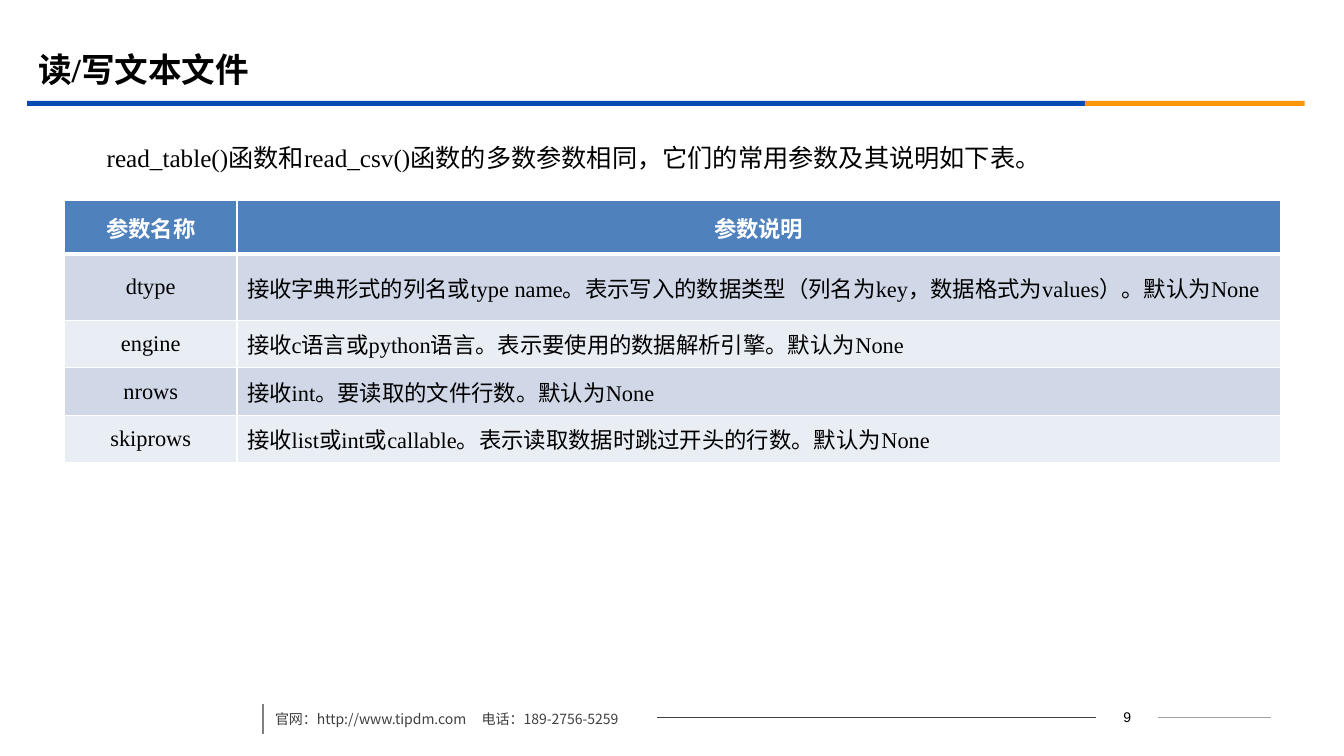
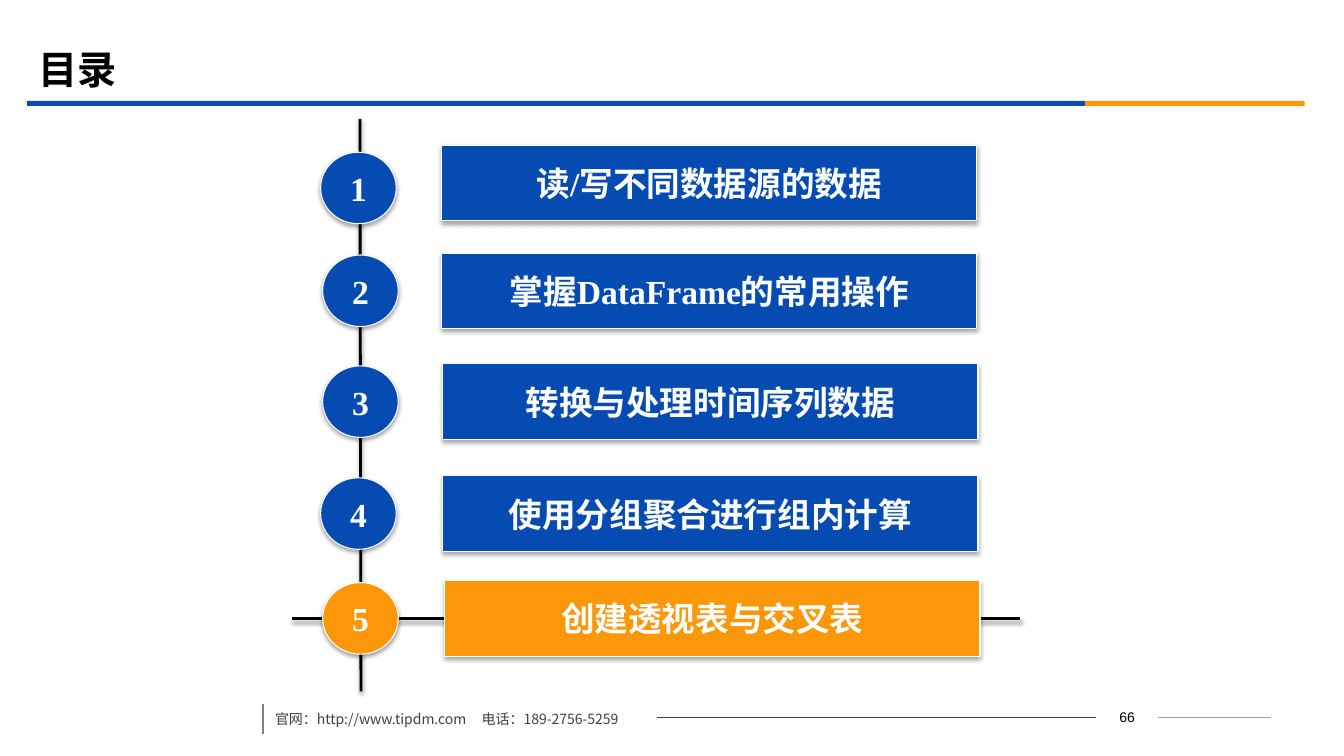
"""Build a parameter table slide and an agenda slide in one shared style."""
import pptx
import pptx.dml.color
import pptx.enum.shapes
import pptx.enum.text
import pptx.oxml
import pptx.oxml.ns
import pptx.util
import lxml.etree

PX = 9144
BLUE, ORANGE, BLACK, WHITE = "064BB2", "FB9708", "000000", "FFFFFF"
SERIF, SANS = "Times New Roman", "Noto Sans CJK SC"
color = pptx.dml.color.RGBColor.from_string
qn = pptx.oxml.ns.qn
Pt = pptx.util.Pt
SHAPE = pptx.enum.shapes.MSO_SHAPE
CENTER = pptx.enum.text.PP_ALIGN.CENTER
LEFT = pptx.enum.text.PP_ALIGN.LEFT
MIDDLE = pptx.enum.text.MSO_ANCHOR.MIDDLE


def write(frame, text, size, hue=BLACK, bold=False, align=LEFT, latin=SERIF):
    """Fill a text frame with one formatted paragraph and return it."""
    paragraph = frame.paragraphs[0]
    paragraph.text = text
    paragraph.alignment = align
    for run in paragraph.runs:
        run.font.size = Pt(size)
        run.font.bold = bold
        run.font.color.rgb = color(hue)
        run.font.name = latin
        lxml.etree.SubElement(run.font._element, qn("a:ea"), typeface=SANS)
    return paragraph


def draw_line(slide, ends, hue, width):
    """Draw a straight line without a shadow and return it."""
    line = slide.shapes.add_connector(
        pptx.enum.shapes.MSO_CONNECTOR.STRAIGHT, *[PX * end for end in ends])
    line.line.color.rgb = color(hue)
    line.line.width = Pt(width)
    lxml.etree.SubElement(line._element.spPr, qn("a:effectLst"))
    return line


deck = pptx.Presentation()
deck.slide_width, deck.slide_height = 1333 * PX, 750 * PX

slides = []
for heading, heading_size, number in [("读/写文本文件", 24, "9"), ("目录", 28, "66")]:
    slide = deck.slides.add_slide(deck.slide_layouts[6])
    slides.append(slide)

    for left, width, hue in [(27, 1049, BLUE), (1076, 218, ORANGE)]:
        band = slide.shapes.add_shape(
            SHAPE.RECTANGLE, left * PX, 100 * PX, width * PX, 5 * PX)
        band.shadow.inherit = False
        band.fill.solid()
        band.fill.fore_color.rgb = color(hue)
        band.line.fill.background()

    for ends, hue, width in [((1149, 712, 1261, 712), "A0A0A0", 0.75),
                             ((652, 712, 1087, 712), "404040", 0.75),
                             ((261, 698, 261, 728), "808080", 1.25)]:
        draw_line(slide, ends, hue, width)

    page = slide.shapes.add_textbox(1087 * PX, 699 * PX, 62 * PX, 25 * PX).text_frame
    page.word_wrap = True
    page.vertical_anchor = MIDDLE
    write(page, number, 10, align=CENTER, latin="Arial")

    contact = slide.shapes.add_textbox(263 * PX, 692 * PX, 536 * PX, 35 * PX).text_frame
    contact.word_wrap = True
    contact_line = write(contact, "官网：http://www.tipdm.com\t电话：189-2756-5259",
                         10, "404040", latin=SANS)
    contact_line.line_spacing = 1.5
    tabs = lxml.etree.SubElement(contact_line._p.get_or_add_pPr(), qn("a:tabLst"))
    lxml.etree.SubElement(tabs, qn("a:tab"), pos=str(205 * PX), algn="l")

    title = slide.shapes.add_textbox(28 * PX, 39 * PX, 1200 * PX, 58 * PX).text_frame
    title.word_wrap = True
    title.vertical_anchor = MIDDLE
    write(title, heading, heading_size, bold=True)

parameters_slide, agenda_slide = slides

intro = parameters_slide.shapes.add_textbox(
    46 * PX, 121 * PX, 1215 * PX, 60 * PX).text_frame
intro.word_wrap = True
intro_line = write(
    intro, "read_table()函数和read_csv()函数的多数参数相同，它们的常用参数及其说明如下表。", 18)
intro_line.line_spacing = 1.5
intro_line._p.get_or_add_pPr().set("indent", str(50 * PX))

parameters = [
    ("参数名称", "参数说明"),
    ("dtype", "接收字典形式的列名或type name。表示写入的数据类型"
              "（列名为key，数据格式为values）。默认为None"),
    ("engine", "接收c语言或python语言。表示要使用的数据解析引擎。默认为None"),
    ("nrows", "接收int。要读取的文件行数。默认为None"),
    ("skiprows", "接收list或int或callable。表示读取数据时跳过开头的行数。默认为None"),
]
row_heights = [53, 66, 47, 47, 47]
table = parameters_slide.shapes.add_table(
    len(parameters), 2, 64 * PX, 199 * PX, 1206 * PX, sum(row_heights) * PX).table
for column, width in zip(table.columns, [171, 1035]):
    column.width = width * PX
for row, (entry, height) in enumerate(zip(parameters, row_heights)):
    table.rows[row].height = height * PX
    header = row == 0
    row_fill = "4F81BD" if header else ("E9EDF4", "D0D8E8")[row % 2]
    for col, text in enumerate(entry):
        cell = table.cell(row, col)
        cell.vertical_anchor = MIDDLE
        write(cell.text_frame, text, 16, WHITE if header else BLACK, header,
              CENTER if header or col == 0 else LEFT, "Calibri" if header else SERIF)
        for side in "LRTB":
            thick = (row, side) in [(0, "B"), (1, "T")]
            border = lxml.etree.SubElement(
                cell._tc.get_or_add_tcPr(), qn("a:ln" + side), w=str(Pt(3 if thick else 1)))
            paint = lxml.etree.SubElement(border, qn("a:solidFill"))
            lxml.etree.SubElement(paint, qn("a:srgbClr"), val=WHITE)
        cell.fill.solid()
        cell.fill.fore_color.rgb = color(row_fill)

raised = [(draw_line(agenda_slide, ends, BLACK, 2), 38, 1.6)
          for ends in [(357, 118, 358, 686), (290, 614, 1012, 614)]]

chapters = [
    ("读/写不同数据源的数据", 438, 144, 318, 151),
    ("掌握DataFrame的常用操作", 438, 251, 320, 253),
    ("转换与处理时间序列数据", 439, 361, 320, 363),
    ("使用分组聚合进行组内计算", 439, 472, 318, 474),
    ("创建透视表与交叉表", 441, 576, 320, 578),
]
for number, (chapter, bar_left, bar_top, badge_left, badge_top) in enumerate(chapters, 1):
    hue = ORANGE if number == len(chapters) else BLUE
    for preset, text, left, top, width, height in [
            (SHAPE.ACTION_BUTTON_CUSTOM, chapter, bar_left, bar_top, 531, 75),
            (SHAPE.OVAL, str(number), badge_left, badge_top, 75, 71)]:
        part = agenda_slide.shapes.add_shape(
            preset, left * PX, top * PX, width * PX, height * PX)
        part.fill.solid()
        part.fill.fore_color.rgb = color(hue)
        part.line.color.rgb = color(WHITE)
        part.line.width = Pt(0.75)
        part.shadow.inherit = False
        part.text_frame.word_wrap = False
        part.text_frame.vertical_anchor = MIDDLE
        write(part.text_frame, text, 24, WHITE, True, CENTER)
        raised.append((part, 35, 1.8))

for part, opacity, distance in raised:
    effects = part._element.spPr.find(qn("a:effectLst"))
    shadow = lxml.etree.SubElement(
        effects, qn("a:outerShdw"), blurRad=str(Pt(3.1)), dist=str(Pt(distance)),
        dir="5400000", rotWithShape="0")
    tint = lxml.etree.SubElement(shadow, qn("a:srgbClr"), val=BLACK)
    lxml.etree.SubElement(tint, qn("a:alpha"), val=str(opacity * 1000))

deck.save("out.pptx")
